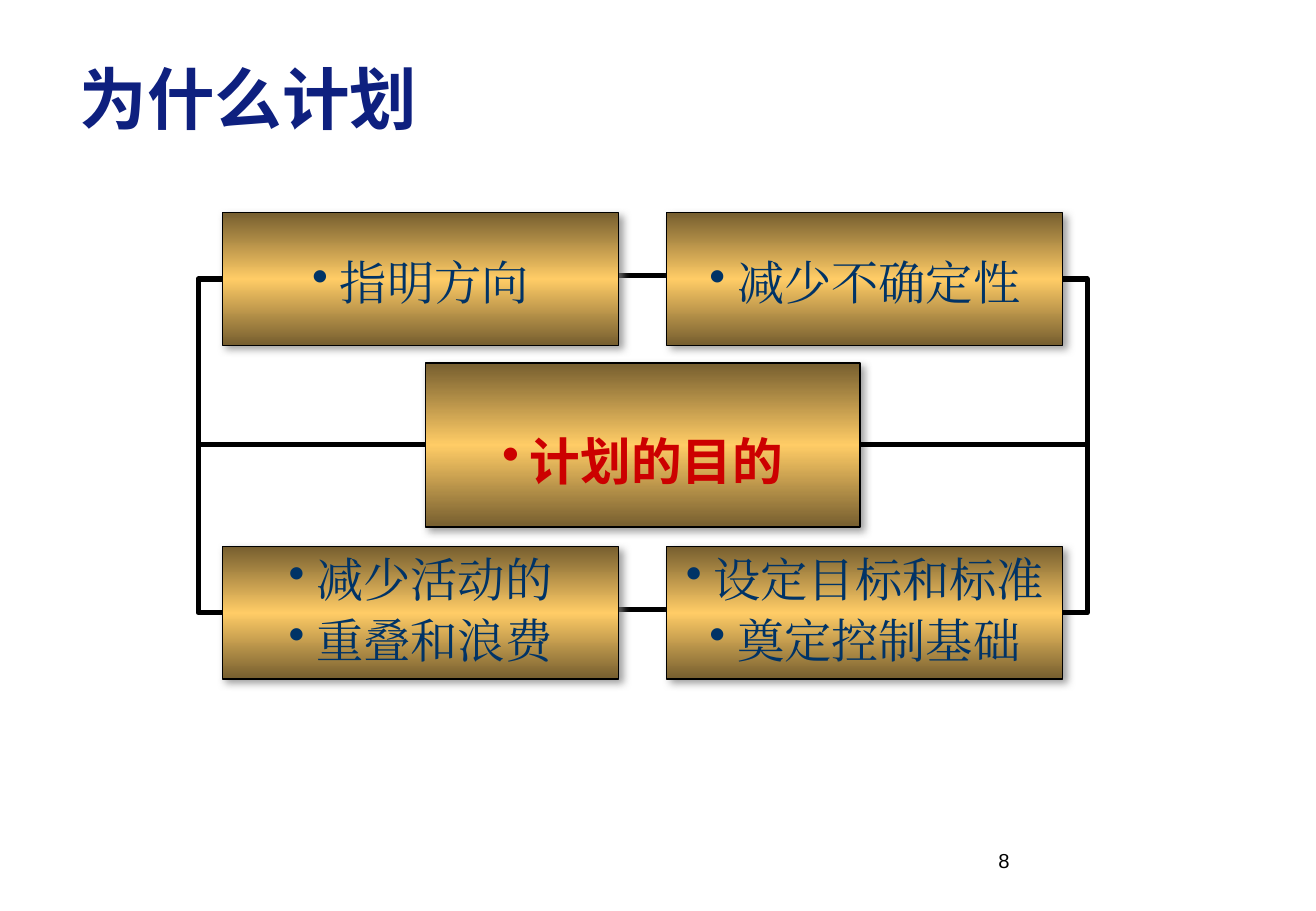
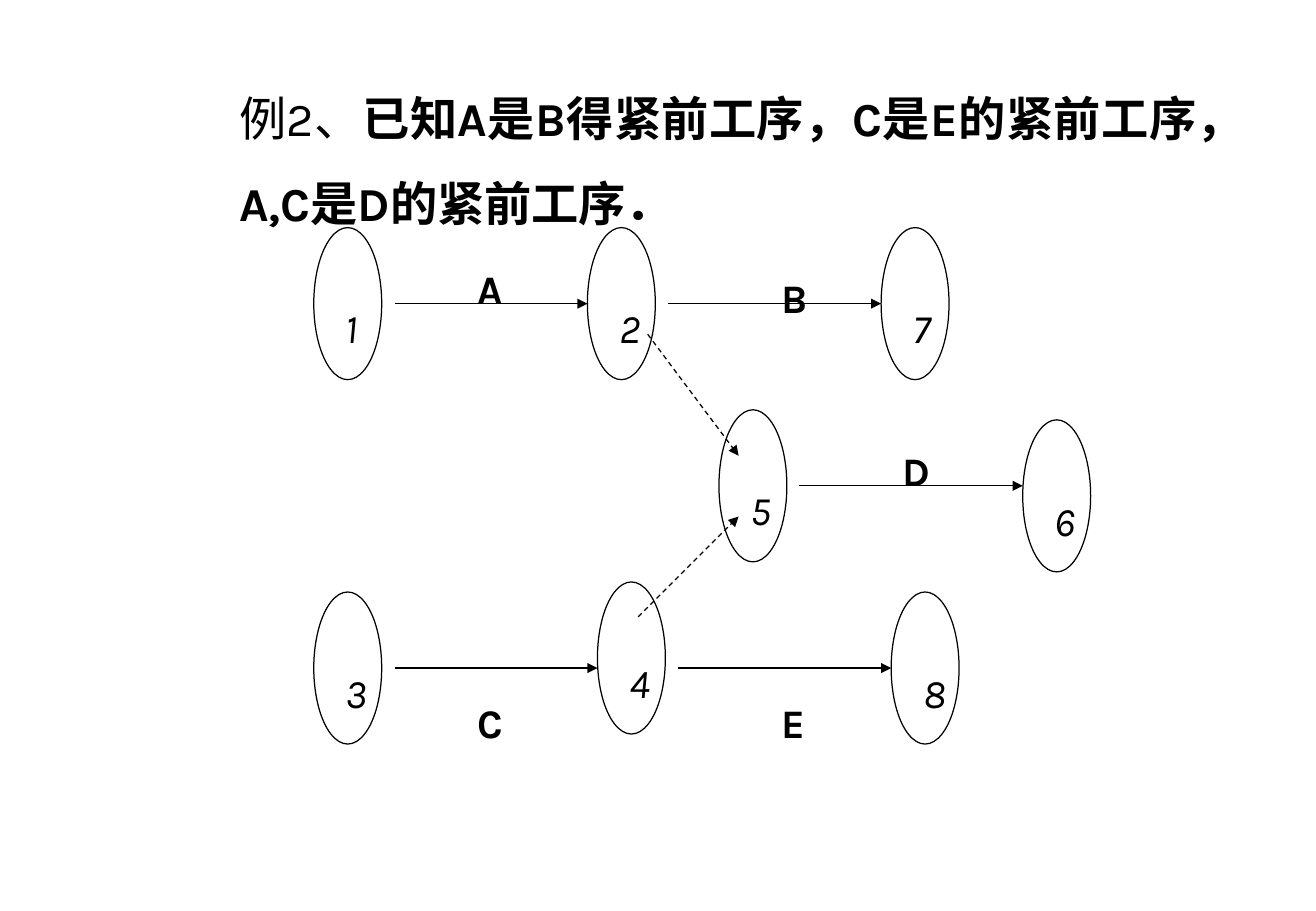
"""Build two planning slides: why we plan, and an activity network."""
from copy import deepcopy
from dataclasses import dataclass

from pptx import Presentation
from pptx.dml.color import RGBColor
from pptx.enum import dml, shapes, text
from pptx.oxml import parse_xml
from pptx.oxml.ns import nsdecls, qn
from pptx.util import Cm, Pt


@dataclass
class Theme:
    navy: str = "0E207F"
    blue: str = "003366"
    red: str = "CC0000"
    black: str = "000000"
    gold: str = "FFCC66"
    bronze: str = "765E2F"
    gray: str = "808080"
    head: str = "Noto Sans CJK SC"
    serif: str = "Times New Roman"
    sans: str = "Arial"
    karla: str = "Karla"
    title: int = 40
    goal: int = 30
    body: int = 28
    label: int = 24
    page: int = 12
    thin: float = 0.75
    thick: int = 3


look = Theme()


def style(run, size, face, color=look.black, bold=False, italic=False):
    font = run.font
    font.size, font.name, font.bold, font.italic = Pt(size), face, bold, italic
    font.color.rgb = RGBColor.from_string(color)
    run._r.get_or_add_rPr().append(parse_xml(f'<a:ea {nsdecls("a")} typeface="{face}"/>'))


def link(slide, kind, ends, width):
    line = slide.shapes.add_connector(kind, *map(Cm, ends))
    line.line.color.rgb = RGBColor.from_string(look.black)
    line.line.width = Pt(width)
    line._element.spPr.append(parse_xml(f'<a:effectLst {nsdecls("a")}/>'))
    return line


deck = Presentation()
deck.slide_width, deck.slide_height = Cm(27.51), Cm(19.05)
straight, elbow = shapes.MSO_CONNECTOR.STRAIGHT, shapes.MSO_CONNECTOR.ELBOW

why = deck.slides.add_slide(deck.slide_layouts[5])
title = why.shapes.title
title.left, title.top, title.width, title.height = Cm(1.37), Cm(0.76), Cm(24.74), Cm(2.54)
frame = title.text_frame
frame.margin_left = frame.margin_right = Cm(0.3)
frame.margin_top = frame.margin_bottom = Cm(0.15)
frame.vertical_anchor = text.MSO_ANCHOR.MIDDLE
frame.text = "为什么计划"
frame.paragraphs[0].alignment = text.PP_ALIGN.LEFT
style(frame.paragraphs[0].runs[0], look.title, look.head, look.navy, bold=True)

page = why.shapes.add_textbox(Cm(20.62), Cm(17.35), Cm(5.28), Cm(1.27)).text_frame
page.word_wrap = True
page.vertical_anchor = text.MSO_ANCHOR.MIDDLE
page.text = "8"
style(page.paragraphs[0].runs[0], look.page, look.sans)

west, east, north, south = 4.65, 13.94, 4.45, 11.43
wide, high = 8.28, 2.77
for top in (south, north):
    link(why, straight, (10.74, top + 1.31, 14.12, top + 1.31), look.thick)

side = (look.body, look.serif, look.blue)
goal = (look.goal, look.sans, look.red, True)
cards = [
    ((east, south, wide, high), 0.9, side, ["设定目标和标准", "奠定控制基础"]),
    ((east, north, wide, high), 1.1, side, ["减少不确定性"]),
    ((west, south, wide, high), 0.9, side, ["减少活动的", "重叠和浪费"]),
    ((west, north, wide, high), 1.1, side, ["指明方向"]),
    ((8.89, 7.59, 9.09, 3.43), 1.5, goal, ["计划的目的"]),
]
boxes = []
for place, pitch, font, lines in cards:
    box = why.shapes.add_shape(shapes.MSO_SHAPE.RECTANGLE, *map(Cm, place))
    boxes.append(box)
    box.line.color.rgb = RGBColor.from_string(look.black)
    box.line.width = Pt(look.thin)
    box.fill.gradient()
    box.fill.gradient_angle = 90
    for stop, color in zip(box.fill.gradient_stops, (look.bronze, look.gold)):
        stop.color.rgb = RGBColor.from_string(color)
    stops = box._element.spPr.find(".//" + qn("a:gsLst"))
    stops.append(deepcopy(stops[0]))
    for stop, part in zip(stops, (0, 50000, 100000)):
        stop.set("pos", str(part))
    box.shadow.inherit = False
    box._element.spPr.find(qn("a:effectLst")).append(parse_xml(
        f'<a:outerShdw {nsdecls("a")} blurRad="63500" dist="38100" dir="2700000">'
        f'<a:srgbClr val="{look.gray}"><a:alpha val="75000"/></a:srgbClr></a:outerShdw>'))
    frame = box.text_frame
    frame.word_wrap = False
    frame.vertical_anchor = text.MSO_ANCHOR.MIDDLE
    frame.text = "\n".join(lines)
    for order, para in enumerate(frame.paragraphs):
        para.alignment = text.PP_ALIGN.CENTER
        props = para._p.get_or_add_pPr()
        props.set("marL", str(Cm(0.58)))
        props.set("indent", str(-Cm(0.58)))
        props.append(parse_xml(f'<a:buChar {nsdecls("a")} char="•"/>'))
        para.line_spacing = pitch
        para.space_before = Pt(0.2 * look.body if order else 0)
        style(para.runs[0], *font)

hub = boxes[-1]
for box, site in zip(boxes, (3, 3, 1, 1)):
    bend = link(why, elbow, (0, 0, 1, 1), look.thick)
    bend.begin_connect(box, site)
    bend.end_connect(hub, site)
    bend._element.spPr.find(".//" + qn("a:avLst")).append(
        parse_xml(f'<a:gd {nsdecls("a")} name="adj1" fmla="val -12000"/>'))

net = deck.slides.add_slide(deck.slide_layouts[6])
frame = net.shapes.add_textbox(Cm(4.75), Cm(1.14), Cm(20.52), Cm(5.89)).text_frame
frame.word_wrap = True
frame.text = "例2、"
para = frame.paragraphs[0]
para.alignment = text.PP_ALIGN.JUSTIFY
para.line_spacing = 1.5
para.add_run().text = "已知A是B得紧前工序，C是E的紧前工序，A,C是D的紧前工序．"
for run, bold in zip(para.runs, (False, True)):
    style(run, look.body, look.karla, bold=bold)

nodes = {
    "1": (6.56, 4.76), "2": (12.28, 4.76), "7": (18.42, 4.76),
    "5": (15.03, 8.57), "6": (21.38, 8.78),
    "3": (6.56, 12.38), "4": (12.49, 12.17), "8": (18.63, 12.38),
}
for left, top in nodes.values():
    oval = net.shapes.add_shape(
        shapes.MSO_SHAPE.OVAL, Cm(left), Cm(top), Cm(1.42), Cm(3.18))
    oval.shadow.inherit = False
    oval.fill.background()
    oval.line.color.rgb = RGBColor.from_string(look.black)
    oval.line.width = Pt(look.thin)

tasks = [
    ((8.26, 6.35, 12.28, 6.35), False),
    ((13.97, 6.35, 18.42, 6.35), False),
    ((16.71, 10.16, 21.38, 10.16), False),
    ((8.26, 13.97, 12.49, 13.97), False),
    ((14.17, 13.97, 18.63, 13.97), False),
    ((13.54, 6.99, 15.44, 9.53), True),
    ((13.34, 12.9, 15.44, 10.8), True),
]
for ends, dummy in tasks:
    arrow = link(net, straight, ends, look.thin)
    if dummy:
        arrow.line.dash_style = dml.MSO_LINE.DASH
    arrow.line._get_or_add_ln().append(
        parse_xml(f'<a:tailEnd {nsdecls("a")} type="triangle"/>'))

marks = [("A", 9.73, 4.88), ("B", 16.08, 5.08), ("D", 18.62, 8.69),
         ("C", 9.73, 13.97), ("E", 16.08, 13.97)]
marks += [(name, left + 0.42, top + 0.95) for name, (left, top) in nodes.items()]
for name, left, top in marks:
    digit = name in nodes
    frame = net.shapes.add_textbox(
        Cm(left), Cm(top), Cm(1 if digit else 1.1), Cm(1.8)).text_frame
    frame.word_wrap = False
    frame.text = name
    frame.paragraphs[0].line_spacing = 1.5
    style(frame.paragraphs[0].runs[0], look.label, look.karla, bold=not digit, italic=digit)

deck.save("out.pptx")
